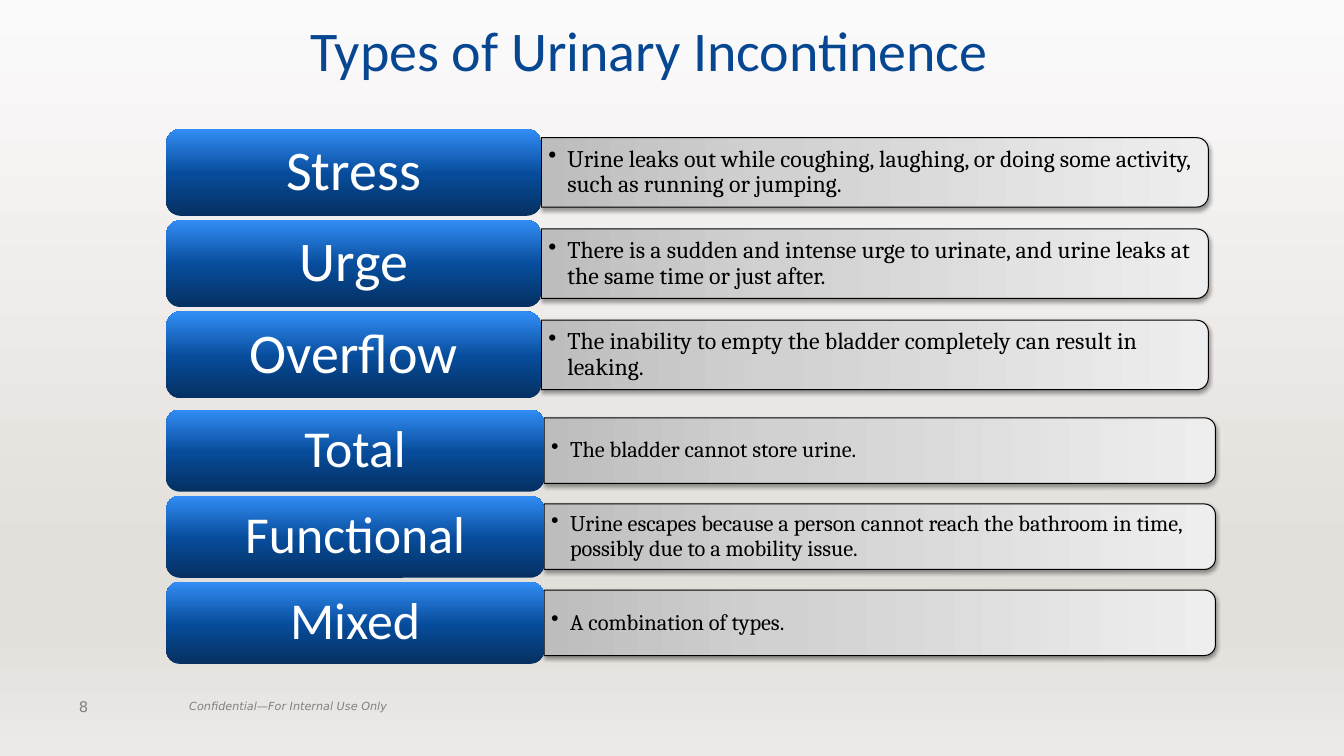
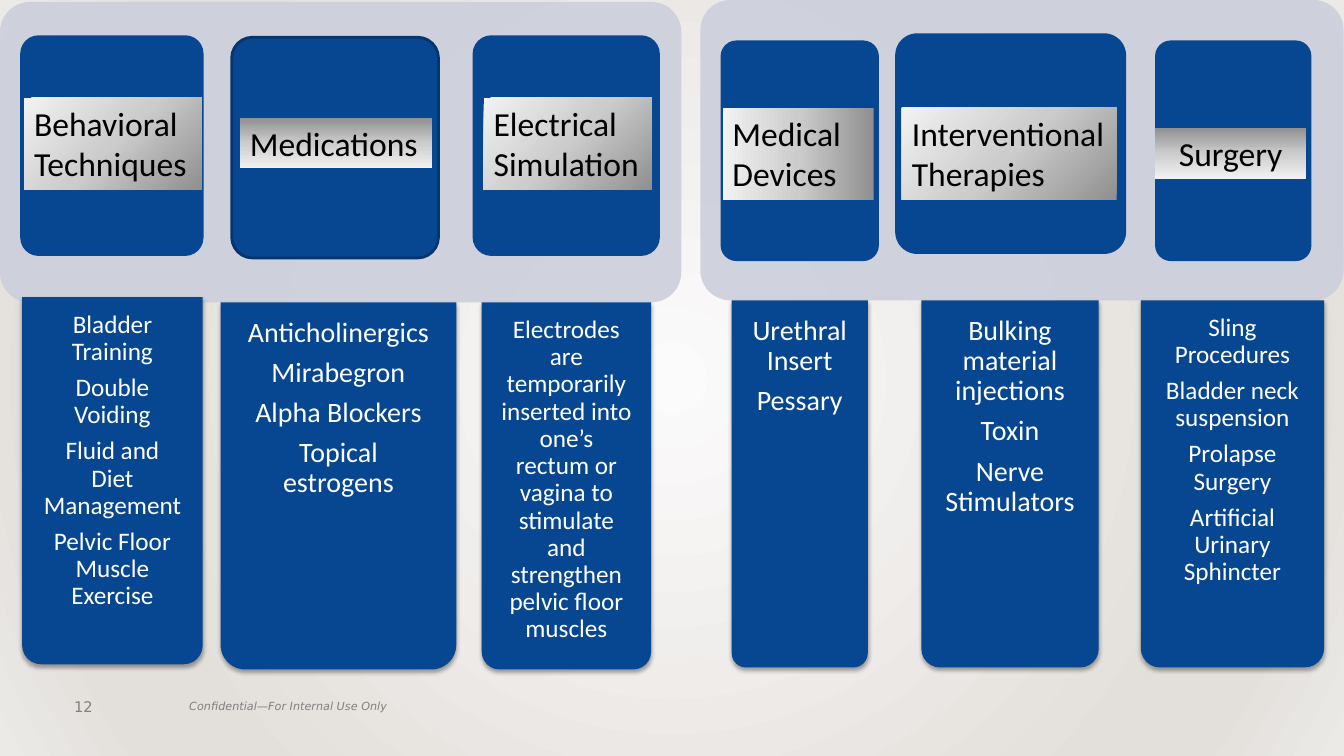
"""Builds two slides on the types and treatments of urinary incontinence."""
from lxml import etree
from pptx import Presentation
from pptx import util as u
from pptx.dml.color import RGBColor
from pptx.enum import shapes, text
from pptx.oxml import ns

COLORS = {
    "navy": "074791", "edge": "05356B", "panel": "CCCFDC", "muted": "808080",
    "black": "000000", "white": "FFFFFF",
}
BACKDROP = [(0, "FCFBFB"), (74, "E3DFDB"), (83, "E3DFDB"), (100, "ECEAE7")]
BLUE_SHEEN = [(0, "053061"), (48, "074C9B"), (100, "328DF5")]
GREY_SHEEN = [(0, "BDBDBD"), (35, "D1D1D1"), (100, "EEEEEE")]
SILVER = [(0, "909090"), (50, "CCCCCC"), (100, "F2F2F2")]
CENTER_FOCUS = (50, 50, 50, 50)
CORNER_FOCUS = (100, 100, 0, 0)

MIDDLE = {"vertical_anchor": text.MSO_ANCHOR.MIDDLE}
CENTERED = {"alignment": text.PP_ALIGN.CENTER}
TIGHT = {"line_spacing": 0.9}
LEFT = {"alignment": text.PP_ALIGN.LEFT}
SHAPE = shapes.MSO_SHAPE

TYPE_GROUPS = [
    {"top": 3.25, "pitch": 2.3, "label": (9.45, 2.19), "bar": (16.81, 1.75),
     "label_size": 40, "bar_size": 17, "rows": [
        ("Stress", "Urine leaks out while coughing, laughing, or doing some "
                   "activity, such as running or jumping."),
        ("Urge", "There is a sudden and intense urge to urinate, and urine "
                 "leaks at the same time or just after."),
        ("Overflow", "The inability to empty the bladder completely can "
                     "result in leaking.")]},
    {"top": 10.32, "pitch": 2.17, "label": (9.52, 2.07), "bar": (16.92, 1.65),
     "label_size": 37, "bar_size": 16, "rows": [
        ("Total", "The bladder cannot store urine."),
        ("Functional", "Urine escapes because a person cannot reach the "
                       "bathroom in time, possibly due to a mobility issue."),
        ("Mixed", "A combination of types.")]},
]

PANELS = [(0, 0.05, 17.17, 7.57), (17.65, 0, 16.21, 7.57)]
THERAPIES = [
    {"name": "Behavioral Techniques", "card": (0.51, 0.89, 4.62),
     "plate": (0.61, 2.46, 4.47, 2.31), "sheen": CORNER_FOCUS,
     "column": (0.56, 7.49, 4.55), "size": 18,
     "items": ["Bladder Training", "Double Voiding",
               "Fluid and Diet Management", "Pelvic Floor Muscle Exercise"]},
    {"name": "Medications", "card": (5.84, 0.94, 5.21), "outlined": True,
     "plate": (6.05, 2.97, 4.85, 1.27), "sheen": 90,
     "column": (5.56, 7.62, 5.94), "size": 20,
     "items": ["Anticholinergics", "Mirabegron", "Alpha Blockers",
               "Topical estrogens"]},
    {"name": "Electrical Simulation", "card": (11.91, 0.89, 4.72),
     "plate": (12.19, 2.46, 4.24, 2.31), "sheen": CORNER_FOCUS,
     "column": (12.14, 7.62, 4.27), "size": 18,
     "items": ["Electrodes are temporarily inserted into one’s rectum or "
               "vagina to stimulate and strengthen pelvic floor muscles"]},
    {"name": "Medical Devices", "card": (18.16, 1.02, 3.99),
     "plate": (18.21, 2.72, 3.81, 2.31), "sheen": 180,
     "column": (18.44, 7.57, 3.43), "size": 20,
     "items": ["Urethral Insert", "Pessary"]},
    {"name": "Interventional Therapies", "card": (22.56, 0.84, 5.82),
     "plate": (22.73, 2.72, 5.41, 2.31), "sheen": 225,
     "column": (23.22, 7.57, 4.47), "size": 20,
     "items": ["Bulking material injections", "Toxin", "Nerve Stimulators"]},
    {"name": "Surgery", "card": (29.11, 1.02, 3.94), "align": CENTERED,
     "plate": (29.11, 3.23, 3.81, 1.27), "sheen": 90,
     "column": (28.75, 7.57, 4.62), "size": 18,
     "items": ["Sling Procedures", "Bladder neck suspension",
               "Prolapse Surgery", "Artificial Urinary Sphincter"]},
]


def rgb(color):
    return RGBColor.from_string(COLORS[color])


def apply(target, values):
    for name, value in values.items():
        setattr(target, name, value)


def add_xml(parent, tag, **attributes):
    child = etree.SubElement(parent, ns.qn(tag))
    for name, value in attributes.items():
        child.set(name, str(value))
    return child


def set_gradient(fill, holder, stops, direction):
    fill.solid()
    solid = holder.find(ns.qn("a:solidFill"))
    gradient = etree.Element(ns.qn("a:gradFill"), rotWithShape="1")
    stop_list = add_xml(gradient, "a:gsLst")
    for position, color in stops:
        stop = add_xml(stop_list, "a:gs", pos=position * 1000)
        add_xml(stop, "a:srgbClr", val=color)
    if isinstance(direction, tuple):
        focus = add_xml(gradient, "a:path", path="circle")
        sides = {side: share * 1000 for side, share in zip("ltrb", direction)}
        add_xml(focus, "a:fillToRect", **sides)
    else:
        add_xml(gradient, "a:lin", ang=direction * 60000, scaled=0)
    holder.replace(solid, gradient)


def add_box(slide, kind, box, fill=None, line=None, adjust=()):
    shape = slide.shapes.add_shape(kind, *map(u.Cm, box))
    shape.shadow.inherit = False
    for index, value in enumerate(adjust):
        shape.adjustments[index] = value
    if fill:
        shape.fill.solid()
        shape.fill.fore_color.rgb = rgb(fill)
    if line:
        color, width = line
        shape.line.color.rgb = rgb(color)
        shape.line.width = u.Pt(width)
    else:
        shape.line.fill.background()
    return shape


def add_shadow(shape, opacity, distance):
    effects = shape._element.spPr.find(ns.qn("a:effectLst"))
    shadow = add_xml(effects, "a:outerShdw", blurRad=u.Pt(3.1),
                     dist=u.Pt(distance), dir=90 * 60000, rotWithShape=0)
    color = add_xml(shadow, "a:srgbClr", val=COLORS["black"])
    add_xml(color, "a:alpha", val=opacity * 1000)


def write(shape, lines, font, size, color, paragraph=LEFT, frame=None,
          insets=(0.25, 0.13), gap=0, bullet=False, italic=False):
    body = shape.text_frame
    across, down = map(u.Cm, insets)
    apply(body, {"word_wrap": True, "vertical_anchor": text.MSO_ANCHOR.TOP,
                 "margin_left": across, "margin_right": across,
                 "margin_top": down, "margin_bottom": down, **(frame or {})})
    for index, line in enumerate(lines):
        entry = body.add_paragraph() if index else body.paragraphs[0]
        apply(entry, paragraph)
        if gap:
            entry.space_after = u.Pt(gap)
        if bullet:
            properties = entry._p.get_or_add_pPr()
            properties.set("marL", str(u.Cm(0.48)))
            properties.set("indent", str(-u.Cm(0.48)))
            add_xml(properties, "a:buChar", char="•")
        run = entry.add_run()
        run.text = line
        apply(run.font, {"name": font, "size": u.Pt(size), "italic": italic})
        run.font.color.rgb = rgb(color)


def add_text(slide, box, line, *style, **options):
    write(slide.shapes.add_textbox(*map(u.Cm, box)), [line], *style, **options)


def start_slide(deck, number, direction):
    slide = deck.slides.add_slide(deck.slide_layouts[6])
    fill = slide.background.fill
    fill.solid()
    holder = slide._element.find(".//" + ns.qn("p:bgPr"))
    set_gradient(fill, holder, BACKDROP, direction)
    add_text(slide, (4.52, 17.5, 23.7, 0.58),
             "Confidential—For Internal Use Only",
             "DejaVu Sans", 8, "muted", italic=True)
    add_text(slide, (1.14, 16.99, 1.93, 1.65), number, "DejaVu Sans", 10.5,
             "muted", paragraph=CENTERED, frame=MIDDLE)
    return slide


def add_description(slide, left, center, width, height, line, size):
    turned = (left + (width - height) / 2, center - width / 2, height, width)
    bar = add_box(slide, SHAPE.ROUND_2_SAME_RECTANGLE, turned,
                  line=("black", 0.75))
    bar.rotation = 90
    set_gradient(bar.fill, bar._element.spPr, GREY_SHEEN, 270)
    add_shadow(bar, 38, 1.6)
    add_text(slide, (left, center - height / 2, width - 0.1, height), line,
             "Cambria", size, "black", paragraph=TIGHT, frame=MIDDLE,
             insets=(0.18, 0.1), bullet=True)


def add_type_group(slide, group):
    left = 4.19
    label_width, label_height = group["label"]
    for index, (name, description) in enumerate(group["rows"]):
        top = group["top"] + index * group["pitch"]
        add_description(slide, left + label_width, top + label_height / 2,
                        *group["bar"], description, group["bar_size"])
        label = add_box(slide, SHAPE.ROUNDED_RECTANGLE,
                        (left, top, label_width, label_height))
        set_gradient(label.fill, label._element.spPr, BLUE_SHEEN, 270)
        write(label, [name], "Calibri", group["label_size"], "white",
              paragraph={**CENTERED, **TIGHT}, frame=MIDDLE,
              insets=(0.4, 0.2))


def add_panel(slide, box):
    panel = add_box(slide, SHAPE.ROUNDED_RECTANGLE, box, "panel", adjust=[0.1])
    color = panel._element.spPr.find(ns.qn("a:solidFill"))[0]
    add_xml(color, "a:alpha", val=90000)


def add_therapy(slide, therapy):
    outline = ("edge", 2) if therapy.get("outlined") else None
    add_box(slide, SHAPE.ROUNDED_RECTANGLE, (*therapy["card"], 5.56), "navy",
            outline, adjust=[0.1])
    column = add_box(slide, SHAPE.ROUND_2_SAME_RECTANGLE,
                     (*therapy["column"], 9.25), "navy", adjust=[0, 0.105])
    add_shadow(column, 35, 1.8)
    inset = therapy["size"] * 0.02
    write(column, therapy["items"], "Calibri", therapy["size"], "white",
          paragraph={**CENTERED, **TIGHT}, insets=(inset, inset),
          gap=therapy["size"] * 0.35)
    plate = add_box(slide, SHAPE.RECTANGLE, therapy["plate"])
    set_gradient(plate.fill, plate._element.spPr, SILVER, therapy["sheen"])
    write(plate, [therapy["name"]], "Calibri", 24, "black",
          paragraph=therapy.get("align", LEFT))


def main():
    deck = Presentation()
    apply(deck, {"slide_width": u.Cm(33.87), "slide_height": u.Cm(19.05)})

    types = start_slide(deck, "8", 90)
    for group in TYPE_GROUPS:
        add_type_group(types, group)
    add_text(types, (7.57, 0.25, 22.61, 1.96),
             "Types of Urinary Incontinence", "Calibri", 40, "navy")

    treatments = start_slide(deck, "12", CENTER_FOCUS)
    for box in PANELS:
        add_panel(treatments, box)
    for therapy in THERAPIES:
        add_therapy(treatments, therapy)

    deck.save("out.pptx")


if __name__ == "__main__":
    main()
